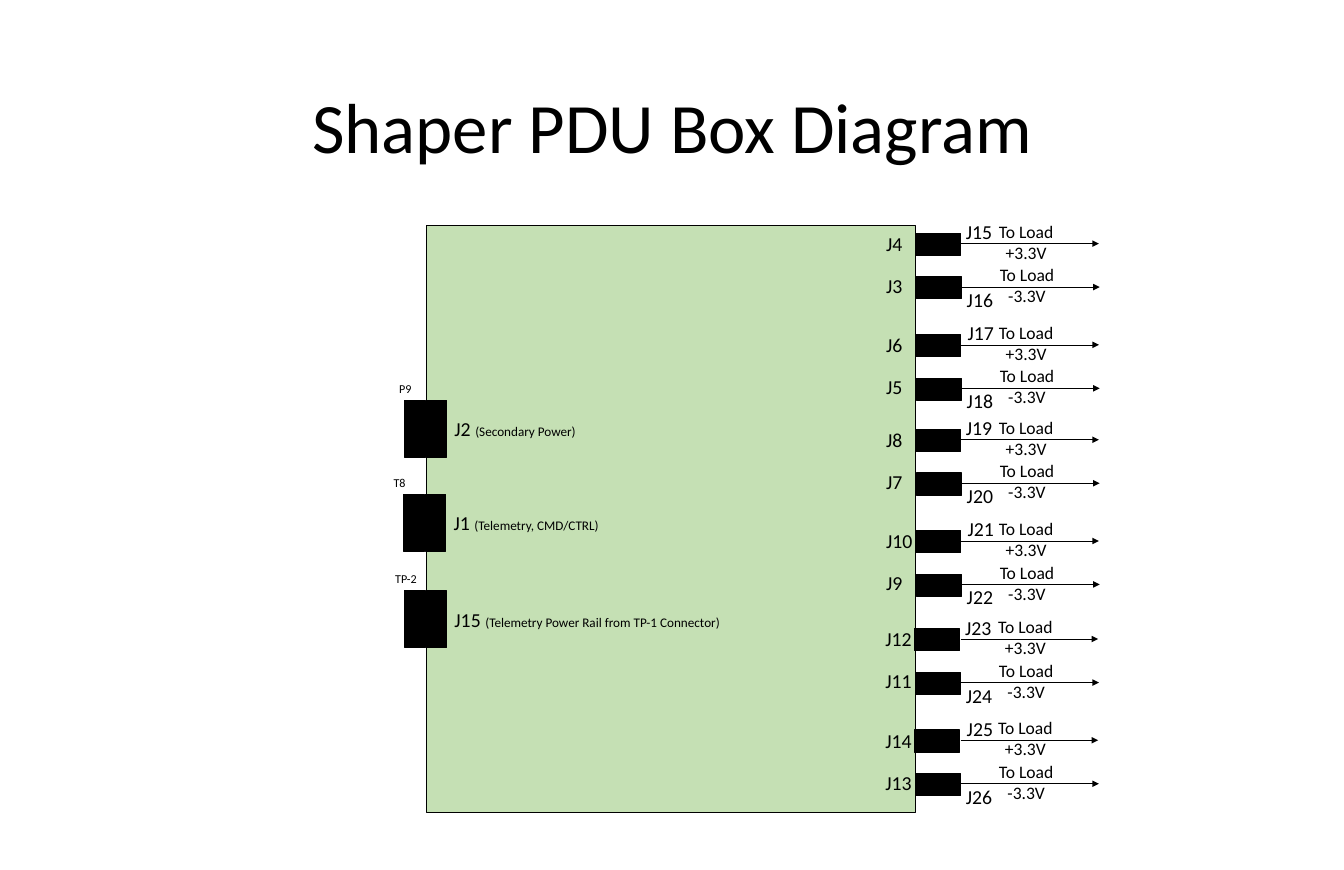
"""Build the Shaper PDU box diagram slide."""
from lxml import etree
from pptx import Presentation
from pptx.dml.color import RGBColor
from pptx.enum.shapes import MSO_CONNECTOR, MSO_SHAPE
from pptx.enum.text import MSO_ANCHOR, MSO_AUTO_SIZE, PP_ALIGN
from pptx.oxml.ns import qn
from pptx.util import Emu, Pt

RECTANGLE = MSO_SHAPE.RECTANGLE
STRAIGHT = MSO_CONNECTOR.STRAIGHT
MIDDLE = MSO_ANCHOR.MIDDLE
NO_FIT, GROW = MSO_AUTO_SIZE.NONE, MSO_AUTO_SIZE.SHAPE_TO_FIT_TEXT
LEFT, CENTER = PP_ALIGN.LEFT, PP_ALIGN.CENTER

EMU_PER_PX = 9144
FONT = "Calibri"
COLORS = {"ink": "000000", "box": "C5E0B4"}

INPUT_PORTS = [
    (539, 506, "J2 ", "(Secondary Power)", 175, "P9", 495, 36),
    (538, 625, "J1 ", "(Telemetry, CMD/CTRL)", 206, "T8", 488, 36),
    (539, 747, "J15 ", "(Telemetry Power Rail from TP-1 Connector)", 361, "TP-2", 490, 48),
]
OUTPUT_GROUPS = [(1158, 295), (1158, 543), (1157, 795)]
PAIR_STEP = 128


def px(length):
    return Emu(length * EMU_PER_PX)


def color(name):
    return RGBColor.from_string(COLORS[name])


def format_run(run, size):
    run.font.name = FONT
    run.font.size = Pt(size)
    run.font.color.rgb = color("ink")


def add_title(slide, text):
    title = slide.shapes.title
    title.left, title.top, title.width, title.height = map(px, (117, 59, 1466, 213))
    frame = title.text_frame
    frame.text = text
    frame.auto_size = NO_FIT
    frame.word_wrap = True
    frame.vertical_anchor = MIDDLE
    paragraph = frame.paragraphs[0]
    paragraph.alignment = CENTER
    paragraph.line_spacing = 0.9
    format_run(paragraph.runs[0], 64.5)


def add_block(slide, left, top, width, height, fill="ink"):
    shape = slide.shapes.add_shape(RECTANGLE, px(left), px(top), px(width), px(height))
    shape.shadow.inherit = False
    shape.fill.solid()
    shape.fill.fore_color.rgb = color(fill)
    shape.line.color.rgb = color("ink")
    shape.line.width = Pt(1)


def add_label(slide, left, top, width, height, text, size, alignment=LEFT, note=""):
    box = slide.shapes.add_textbox(px(left), px(top), px(width), px(height))
    frame = box.text_frame
    frame.word_wrap = False
    frame.auto_size = GROW
    paragraph = frame.paragraphs[0]
    paragraph.text = text
    paragraph.alignment = alignment
    for run in paragraph.runs:
        format_run(run, size)
    if note:
        note_run = paragraph.add_run()
        note_run.text = note
        format_run(note_run, 12)


def add_arrow(slide, left, top, length):
    arrow = slide.shapes.add_connector(STRAIGHT, px(left), px(top), px(left + length), px(top))
    arrow.line.color.rgb = color("ink")
    arrow.line.width = Pt(0.5)
    etree.SubElement(arrow.line._get_or_add_ln(), qn("a:tailEnd"), type="triangle")
    etree.SubElement(arrow._element.spPr, qn("a:effectLst"))


def add_input_port(slide, left, top, name, note, width, tag, tag_left, tag_width):
    for block_left in (left, left - 27):
        add_block(slide, block_left, top, 26, 72)
    add_label(slide, left + 26, top + 16, width, 40, name, 18, note=note)
    add_label(slide, tag_left, top - 29, tag_width, 29, tag, 11)


def add_output(slide, left, top, voltage, load_name, load_left, load_top):
    add_block(slide, left, top, 57, 28)
    add_arrow(slide, left + 58, top + 13, 174)
    add_label(slide, left + 95, top - 21, 90, 64, f"To Load\n{voltage}", 16, CENTER)
    add_label(slide, load_left, load_top, 54, 40, load_name, 18)


def add_output_pair(slide, left, top, number, load_left):
    add_output(slide, left, top, "+3.3V", f"J{number + 11}", load_left, top - 22)
    add_output(slide, left + 1, top + 55, "-3.3V", f"J{number + 12}", left + 55, top + 64)
    for jack, jack_top in ((number, top - 7), (number - 1, top + 46)):
        width = 54 if jack > 9 else 41
        add_label(slide, left - 47, jack_top, width, 40, f"J{jack}", 18)


def main():
    presentation = Presentation()
    presentation.slide_width, presentation.slide_height = px(1700), px(1100)
    slide = presentation.slides.add_slide(presentation.slide_layouts[5])
    add_title(slide, "Shaper PDU Box Diagram")
    add_block(slide, 539, 285, 619, 742, "box")
    for port in INPUT_PORTS:
        add_input_port(slide, *port)
    for group, (left, top) in enumerate(OUTPUT_GROUPS):
        for pair in range(2):
            number = 4 + 4 * group + 2 * pair
            add_output_pair(slide, left, top + pair * PAIR_STEP, number, left + 54 + 2 * pair)
    presentation.save("out.pptx")


if __name__ == "__main__":
    main()
